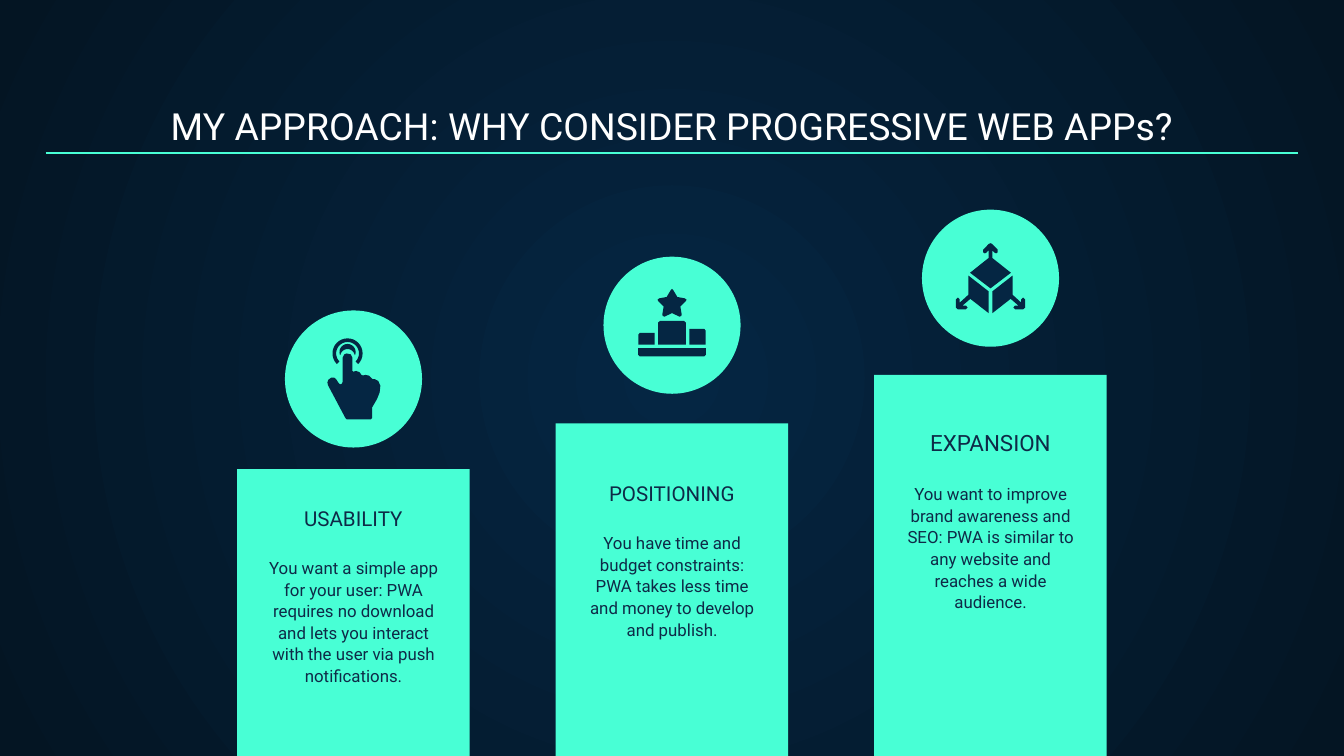
import math

from lxml import etree
from pptx import Presentation
from pptx import util as u
from pptx.dml.color import RGBColor
from pptx.enum import shapes, text
from pptx.oxml.ns import qn

CELL = u.Inches(0.1)
COLS, ROWS = 100, 56.25
MARGIN = 3.4
PITCH = 23.7
MINT, NAVY, EDGE, INK, WHITE = "48FFD5", "052643", "041523", "0E2A47", "FFFFFF"


def mirror(half, axis=0):
    return half + [(2 * axis - x, y) for x, y in reversed(half)]


def flip(points):
    return [(-x, y) for x, y in points]


def arc(cx, cy, radius, start, end, steps=24):
    angles = [math.radians(start + (end - start) * i / steps) for i in range(steps + 1)]
    return [(cx + radius * math.cos(a), cy + radius * math.sin(a)) for a in angles]


FINGERTIP = -4.4
HAND = [
    (-5, -19), (-6.8, -18.3), (-8, -16), (-8, 2), (-8.6, 3.6), (-10, 4), (-11, 3),
    (-13, 0), (-14.4, -1), (-16.5, -1), (-18.6, 0.5), (-19.4, 2.5), (-19, 4.5),
    (-6, 29), (-5, 30), (13, 30), (14, 29), (14, 21), (17.5, 15), (19.5, 10),
    (20, 5), (18.5, 1.5), (16, 0.2), (14, 0), (13, -1), (11.5, -2.5), (9, -3),
    (7, -2.6), (6, -3), (4.5, -5), (2, -6), (0, -5.4), (-0.8, -6), (-0.8, -16),
    (-2, -18.3),
]
TOUCH = [
    arc(FINGERTIP, -19, 11.2, 135, 405) + arc(FINGERTIP, -19, 8.5, 405, 135),
    arc(FINGERTIP, -20, 6, 160, 380) + arc(FINGERTIP, -16.8, 5.4, 350, 190),
    HAND,
]
PODIUM = [
    mirror([(0, -27), (1, -26), (4, -21), (9.5, -20), (10.8, -19), (10.2, -17.8),
            (6.2, -14), (7.2, -8), (6.8, -6.8), (5.5, -6.4), (0, -9)]),
    [(13, 14.4), (13, 2.7), (24, 2.7), (25, 4), (25, 14.4)],
    mirror([(0, -3.2), (9, -3.2), (10.3, -2), (10.3, 14.4), (0, 14.4)]),
    mirror([(0, 17), (25.2, 17), (25.2, 22), (24, 23.2), (0, 23.2)]),
    [(-25, 14.4), (-25, 7), (-24, 5.8), (-13, 5.8), (-13, 14.4)],
]
CUBE_SIDE = [
    (16.5, -2), (1.4, 9.8), (1.4, 26), (15, 15.4), (20.8, 20.4), (18.3, 20.4),
    (17, 21.8), (18.3, 23.2), (24.3, 23.2), (25.7, 22), (25.7, 15.8), (24.3, 14.4),
    (22.9, 15.8), (22.9, 18.2), (16.5, 12.4),
]
CUBE = [
    CUBE_SIDE,
    flip(CUBE_SIDE),
    mirror([(0, -26), (1.2, -25.5), (5.4, -21.2), (5.4, -19.2), (4.2, -18.4),
            (3, -19), (1.4, -20.7), (1.4, -15), (15.2, -4), (0, 7.6)]),
]

REASONS = [
    dict(top=34.9, circle=28.2, body=40.4, body_h=7.6, label_h=1.9, size=11, icon=TOUCH,
         label="USABILITY",
         words="You want a simple app for your user: PWA requires no download and lets "
               "you interact with the user via push notifications."),
    dict(top=31.5, circle=24.2, body=38.55, body_h=5.5, label_h=3, size=11, icon=PODIUM,
         label="POSITIONING",
         words="You have time and budget constraints: PWA takes less time and money to "
               "develop and publish."),
    dict(top=27.9, circle=20.7, body=34.9, body_h=5.5, label_h=2.8, size=12, icon=CUBE,
         label="EXPANSION",
         words="You want to improve brand awareness and SEO: PWA is similar to any "
               "website and reaches a wide audience."),
]


def rgb(value):
    return RGBColor.from_string(value)


def cells(*values):
    return [round(v * CELL) for v in values]


def apply(obj, values):
    for name, value in values.items():
        setattr(obj, name, value)


def paint(sp, color):
    sp.shadow.inherit = False
    sp.fill.solid()
    sp.fill.fore_color.rgb = rgb(color)
    sp.line.fill.background()


def add_background(s):
    fill = s.background.fill
    fill.gradient()
    for stop, color in zip(fill.gradient_stops, (NAVY, EDGE)):
        stop.color.rgb = rgb(color)
    grad = next(s.element.iter(qn("a:gradFill")))
    grad.remove(grad.find(qn("a:lin")))
    radial = etree.SubElement(grad, qn("a:path"), path="circle")
    etree.SubElement(radial, qn("a:fillToRect"), {k: "50000" for k in "ltrb"})


def add_panel(s, kind, *box):
    paint(s.shapes.add_shape(kind, *cells(*box)), MINT)


def add_text(s, box, words, size, color, anchor, para=None):
    tf = s.shapes.add_textbox(*cells(*box)).text_frame
    apply(tf, dict(word_wrap=True, vertical_anchor=anchor,
                   **{f"margin_{side}": CELL for side in ("left", "top", "right", "bottom")}))
    p = tf.paragraphs[0]
    apply(p, dict(alignment=text.PP_ALIGN.CENTER, **(para or {})))
    r = p.add_run()
    r.text = words
    apply(r.font, dict(name="Roboto", size=u.Pt(size)))
    r.font.color.rgb = rgb(color)


def add_icon(s, cx, cy, outlines):
    group = s.shapes.add_group_shape()
    for outline in outlines:
        points = [tuple(cells(cx + x / 10, cy + y / 10)) for x, y in outline]
        builder = group.shapes.build_freeform(*points[0])
        builder.add_line_segments(points[1:], close=True)
        paint(builder.convert_to_shape(), NAVY)


def add_rule(s, row):
    line = s.shapes.add_connector(shapes.MSO_CONNECTOR.STRAIGHT,
                                  *cells(MARGIN, row, COLS - MARGIN, row))
    line.line.color.rgb = rgb(MINT)
    line.line.width = u.Pt(0.75)
    etree.SubElement(line.element.spPr, qn("a:effectLst"))


def add_reason(s, cx, reason):
    top, cy, body = reason["top"], reason["circle"], reason["body"]
    add_panel(s, shapes.MSO_SHAPE.RECTANGLE, cx - 8.65, top, 17.3, 56.6 - top)
    add_text(s, (cx - 7.6, body, 15.2, reason["body_h"]), reason["words"], 9, INK,
             text.MSO_ANCHOR.TOP, dict(line_spacing=1.07, space_after=u.Pt(8)))
    add_text(s, (cx - 11.35, body - reason["label_h"], 22.7, reason["label_h"]),
             reason["label"], reason["size"], INK, text.MSO_ANCHOR.BOTTOM)
    add_panel(s, shapes.MSO_SHAPE.OVAL, cx - 5.1, cy - 5.1, 10.2, 10.2)
    add_icon(s, cx, cy, reason["icon"])


def main():
    prs = Presentation()
    prs.slide_width, prs.slide_height = cells(COLS, ROWS)
    s = prs.slides.add_slide(prs.slide_layouts[6])
    add_background(s)
    add_text(s, (MARGIN, 4.4, COLS - 2 * MARGIN, 7.6),
             "MY APPROACH: WHY CONSIDER PROGRESSIVE WEB APPs?", 20, WHITE,
             text.MSO_ANCHOR.BOTTOM)
    for i, reason in enumerate(REASONS):
        add_reason(s, COLS / 2 + (i - 1) * PITCH, reason)
    add_rule(s, 11.4)
    prs.save("out.pptx")


if __name__ == "__main__":
    main()
